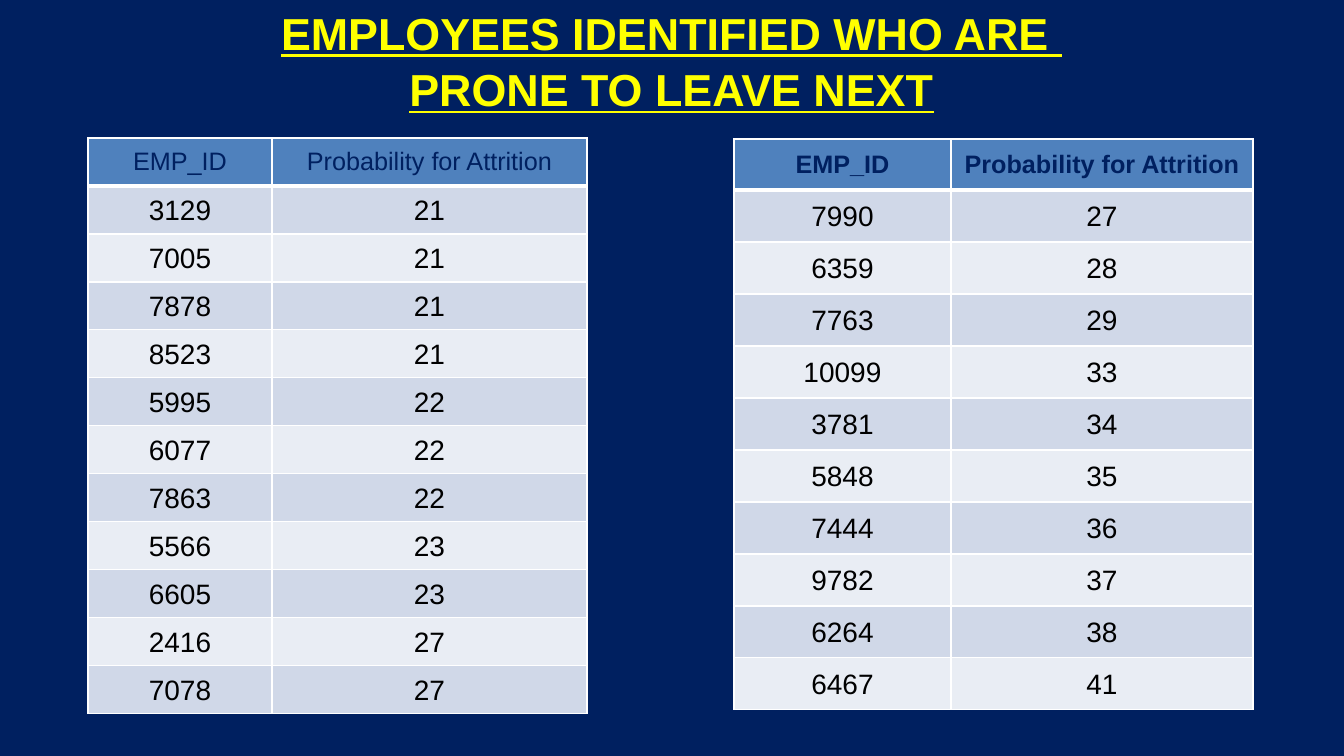
from lxml import etree
from pptx import Presentation
from pptx.dml.color import RGBColor
from pptx.enum.text import MSO_ANCHOR, MSO_AUTO_SIZE, PP_ALIGN
from pptx.oxml.ns import qn
from pptx.util import Pt

PX = 914400 / 100.8
CENTER = PP_ALIGN.CENTER
MIDDLE = MSO_ANCHOR.MIDDLE
GROW = MSO_AUTO_SIZE.SHAPE_TO_FIT_TEXT
NAVY, YELLOW, BLACK, WHITE = "002060", "FFFF00", "000000", "FFFFFF"
HEADER_FILL = "4F81BD"
BAND_FILLS = ("E9EDF4", "D0D8E8")  # even rows, odd rows


def px(*lengths):
    return [round(length * PX) for length in lengths]


def style(para, size, color, bold):
    para.alignment = CENTER
    para.font.name = "Arial"
    para.font.size = Pt(size)
    para.font.bold = bold
    para.font.color.rgb = RGBColor.from_string(color)


deck = Presentation()
deck.slide_width, deck.slide_height = px(1344, 756)
page = deck.slides.add_slide(deck.slide_layouts[6])
page.background.fill.solid()
page.background.fill.fore_color.rgb = RGBColor.from_string(NAVY)

# Title
title = page.shapes.add_textbox(*px(56, 0, 1231, 119)).text_frame
title.word_wrap = True
title.auto_size = GROW
title.vertical_anchor = MIDDLE
title.text = "EMPLOYEES IDENTIFIED WHO ARE \nPRONE TO LEAVE NEXT"
for para in title.paragraphs:
    style(para, 32, YELLOW, True)
    para.font.underline = True
    para.line_spacing = 1.05

# Attrition tables: left, top, column widths, header height, row height, bold header, data
HEADER = ("EMP_ID", "Probability for Attrition")
LOWER_RISK = [
    (3129, 21), (7005, 21), (7878, 21), (8523, 21), (5995, 22), (6077, 22),
    (7863, 22), (5566, 23), (6605, 23), (2416, 27), (7078, 27),
]
HIGHER_RISK = [
    (7990, 27), (6359, 28), (7763, 29), (10099, 33), (3781, 34),
    (5848, 35), (7444, 36), (9782, 37), (6264, 38), (6467, 41),
]
TABLES = [
    (88, 138, (184, 315), 48, 48, False, LOWER_RISK),
    (734, 139, (217, 302), 51, 52, True, HIGHER_RISK),
]

for left, top, widths, header_height, row_height, bold_header, employees in TABLES:
    rows = [HEADER, *employees]
    height = header_height + row_height * len(employees)
    table = page.shapes.add_table(
        len(rows), len(widths), *px(left, top, sum(widths), height)).table
    for column, width in zip(table.columns, px(*widths)):
        column.width = width

    for r, values in enumerate(rows):
        is_header = r == 0
        table.rows[r].height = px(header_height if is_header else row_height)[0]
        for c, value in enumerate(values):
            cell = table.cell(r, c)
            cell.vertical_anchor = MIDDLE
            cell.text = str(value)
            para = cell.text_frame.paragraphs[0]
            if is_header:
                style(para, 18, NAVY, bold_header)
            else:
                style(para, 20, BLACK, False)
                cell.margin_left, cell.margin_top, cell.margin_right, cell.margin_bottom = px(1, 1, 1, 0)

            # White borders, heavier under the header
            properties = cell._tc.get_or_add_tcPr()
            for side in "LRTB":
                weight = Pt(3 if is_header and side == "B" else 1)
                line = etree.SubElement(properties, qn(f"a:ln{side}"), w=str(weight))
                paint = etree.SubElement(line, qn("a:solidFill"))
                etree.SubElement(paint, qn("a:srgbClr"), val=WHITE)

            cell.fill.solid()
            cell.fill.fore_color.rgb = RGBColor.from_string(
                HEADER_FILL if is_header else BAND_FILLS[r % 2])

deck.save("out.pptx")
